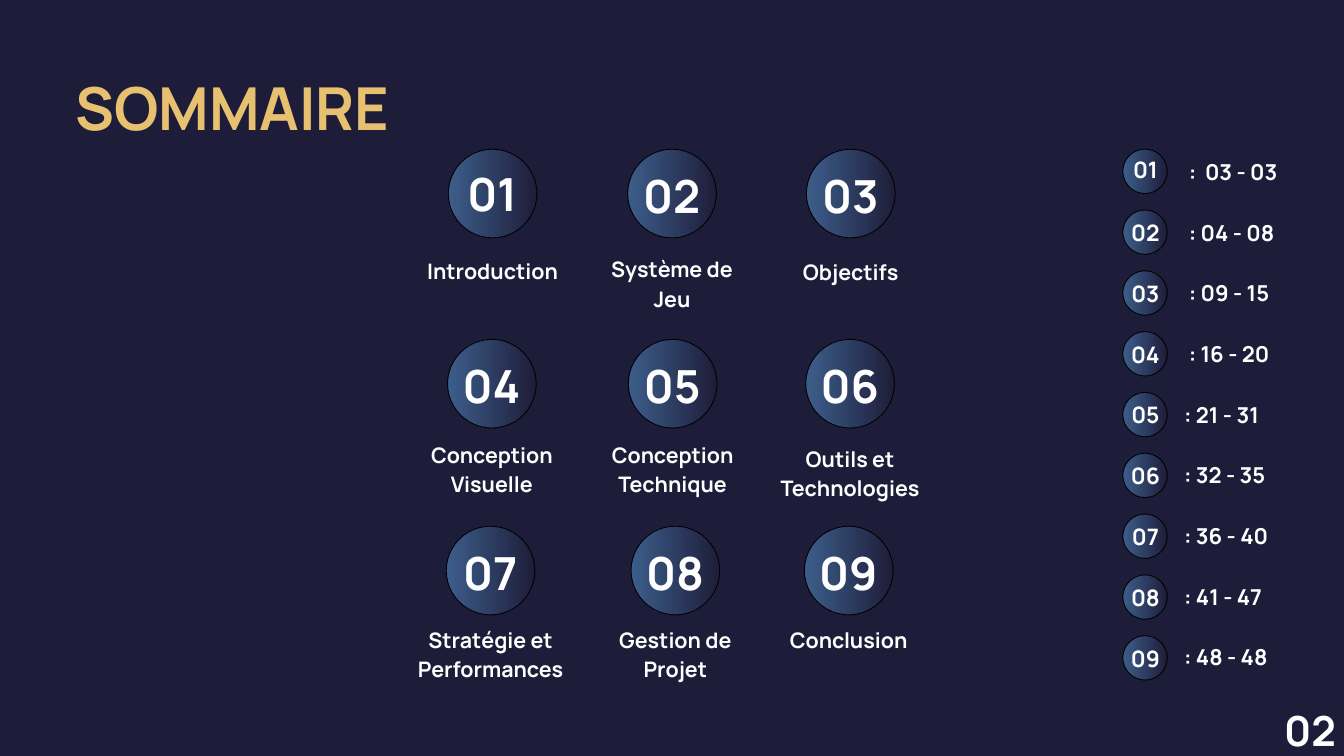
from dataclasses import dataclass

from pptx import Presentation
from pptx.dml.color import RGBColor
from pptx.enum.shapes import MSO_SHAPE
from pptx.enum.text import MSO_ANCHOR, MSO_AUTO_SIZE, PP_ALIGN
from pptx.util import Inches, Pt

OVAL = MSO_SHAPE.OVAL
TOP = MSO_ANCHOR.TOP
FIXED = MSO_AUTO_SIZE.NONE
LEFT, MID, FULL = PP_ALIGN.LEFT, PP_ALIGN.CENTER, PP_ALIGN.JUSTIFY

HUES = {"night": "1E1D39", "blue": "3C5E8B", "gold": "E8C170",
        "white": "FFFFFF", "black": "000000"}


@dataclass
class Style:
    size: float
    lead: float
    align: PP_ALIGN = MID
    hue: str = "white"


@dataclass
class Topic:
    name: str
    mid: float      # centre of the disc
    top: float      # top of the label
    pages: str
    wide: float = 2.16


HEAD = Style(63.4, 76, LEFT, "gold")
BIG = Style(48.8, 67.4)
LABEL = Style(22.9, 31.6)
SMALL = Style(24.3, 33.6)
RANGE = Style(23.5, 32.5, FULL)
FOLIO = Style(44.3, 61.2)

TOPICS = [
    Topic("Introduction", 7.33, 3.79, ":  03 - 03"),
    Topic("Système de Jeu", 10, 3.76, ": 04 - 08"),
    Topic("Objectifs", 12.66, 3.8, ": 09 - 15"),
    Topic("Conception Visuelle", 7.32, 6.52, ": 16 - 20", 2.55),
    Topic("Conception Technique", 10.01, 6.52, ": 21 - 31", 1.97),
    Topic("Outils et Technologies", 12.65, 6.58, ": 32 - 35", 2.58),
    Topic("Stratégie et Performances", 7.3, 9.27, ": 36 - 40", 2.51),
    Topic("Gestion de Projet", 10.05, 9.27, ": 41 - 47"),
    Topic("Conclusion", 12.63, 9.27, ": 48 - 48"),
]
ROWS = [2.22, 5.05, 7.83]


def color(hue: str) -> RGBColor:
    return RGBColor.from_string(HUES[hue])


def write(box, text: str, style: Style) -> None:
    frame = box.text_frame
    look = {"word_wrap": True, "auto_size": FIXED, "vertical_anchor": TOP,
            "margin_left": 0, "margin_top": 0,
            "margin_right": 0, "margin_bottom": 0}
    for key, value in look.items():
        setattr(frame, key, value)
    para = frame.paragraphs[0]
    para.alignment = style.align
    para.line_spacing = Pt(style.lead)
    run = para.add_run()
    run.text = text
    face = {"name": "Manrope", "size": Pt(style.size), "bold": True}
    for key, value in face.items():
        setattr(run.font, key, value)
    run.font.color.rgb = color(style.hue)


def label(slide, x: float, y: float, w: float, h: float,
          text: str, style: Style) -> None:
    box = slide.shapes.add_textbox(Inches(x), Inches(y), Inches(w), Inches(h))
    write(box, text, style)


def disc(slide, mid: float, top: float, size: float) -> None:
    oval = slide.shapes.add_shape(OVAL, Inches(mid - size / 2), Inches(top),
                                  Inches(size), Inches(size))
    oval.shadow.inherit = False
    oval.fill.gradient()
    oval.fill.gradient_angle = 0
    for stop, hue, spot in zip(oval.fill.gradient_stops,
                               ("blue", "night"), (0, 1)):
        stop.color.rgb = color(hue)
        stop.position = spot
    oval.line.color.rgb = color("black")
    oval.line.width = Pt(1)


def main() -> None:
    deck = Presentation()
    deck.slide_width, deck.slide_height = Inches(20), Inches(11.25)
    slide = deck.slides.add_slide(deck.slide_layouts[5])
    slide.background.fill.solid()
    slide.background.fill.fore_color.rgb = color("night")

    # Title
    title = slide.shapes.title
    spot = {"left": 1.12, "top": 1.06, "width": 5.08, "height": 1.11}
    for key, value in spot.items():
        setattr(title, key, Inches(value))
    write(title, "SOMMAIRE", HEAD)

    for i, topic in enumerate(TOPICS):
        num = f"{i + 1:02}"
        lift = 0.03 if i == 0 else 0

        # Topic in the grid of three columns
        row = ROWS[i // 3]
        disc(slide, topic.mid, row, 1.32)
        label(slide, topic.mid - 0.79, row + 0.15 - lift, 1.57, 0.91, num, BIG)
        label(slide, topic.mid - topic.wide / 2, topic.top, topic.wide, 0.85,
              topic.name, LABEL)

        # Page range in the right-hand list
        y = 2.22 + 0.905 * i
        disc(slide, 17.04, y, 0.66)
        label(slide, 16.78, y + 0.07 - lift, 0.53, 0.46, num, SMALL)
        x = 17.69 if i < 4 else 17.62
        label(slide, x, 2.3 + 0.9025 * i, 1.8, 0.46, topic.pages, RANGE)

    # Page number
    label(slide, 18.99, 10.38, 1.01, 0.87, "02", FOLIO)
    deck.save("out.pptx")


if __name__ == "__main__":
    main()
